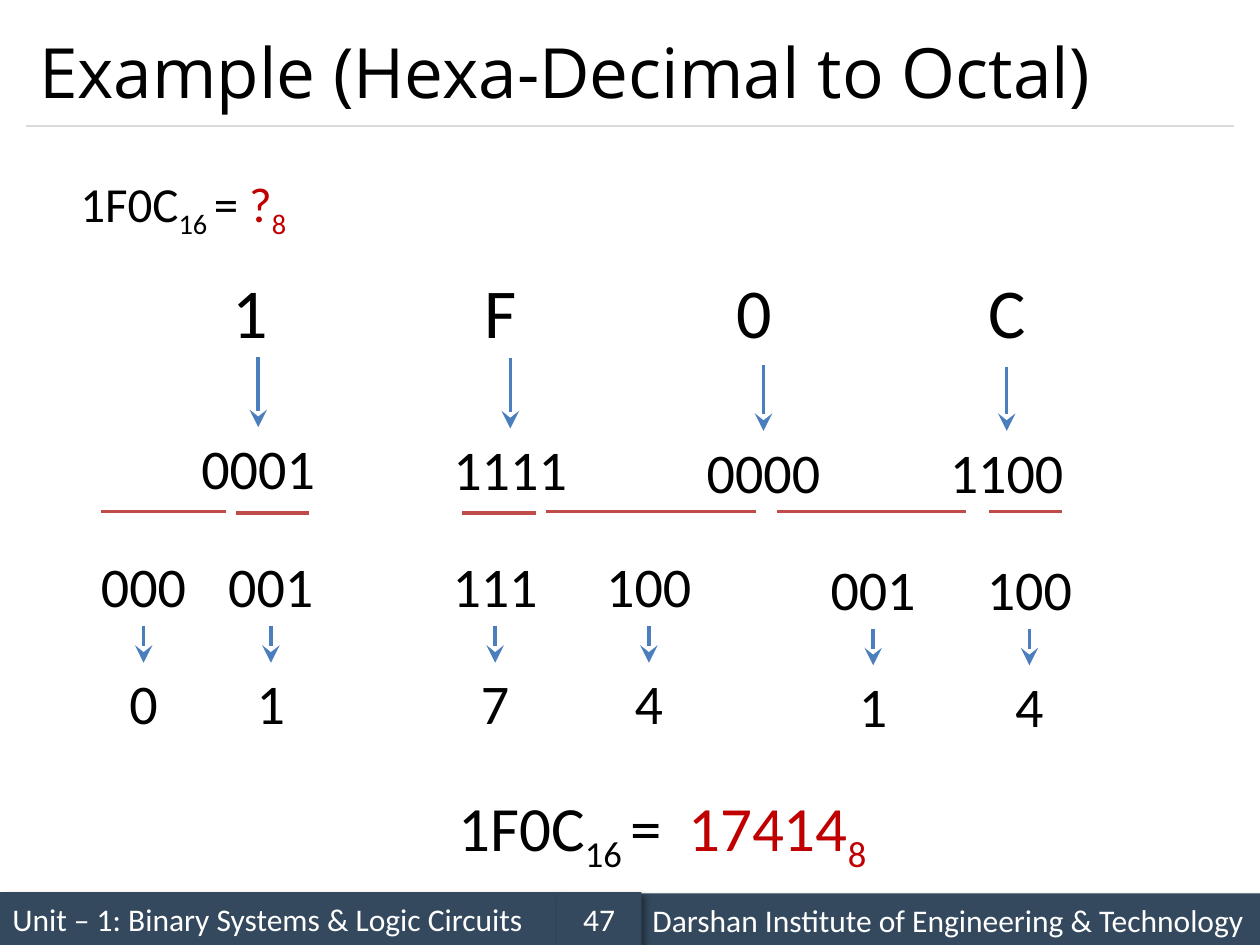
from lxml import etree
from pptx import Presentation
from pptx.dml.color import RGBColor
from pptx.enum.shapes import MSO_CONNECTOR, MSO_SHAPE
from pptx.enum.text import MSO_ANCHOR, PP_ALIGN
from pptx.oxml.ns import qn
from pptx.util import Inches, Pt

STRAIGHT = MSO_CONNECTOR.STRAIGHT
RECTANGLE = MSO_SHAPE.RECTANGLE
MIDDLE = MSO_ANCHOR.MIDDLE
LEFT, CENTER = PP_ALIGN.LEFT, PP_ALIGN.CENTER

BLACK, WHITE, RED = "000000", "FFFFFF", "C00000"
NAVY, BLUE, BRICK, GREY = "34495E", "4B7EBC", "BF4C48", "D9D9D9"
SUBSCRIPT = "-25000"

NIBBLES = [("0001", 2.05, 2.83, 3.39), ("1111", 4.05, 2.84, 3.4),
           ("0000", 6.06, 2.9, 3.42), ("1100", 7.99, 2.91, 3.42)]
TRIPLETS = [("000", "0", 1.14, 4.33), ("001", "1", 2.15, 4.33),
            ("111", "7", 3.93, 4.33), ("100", "4", 5.15, 4.33),
            ("001", "1", 6.93, 4.35), ("100", "4", 8.17, 4.35)]
UNDERLINES = [(0.8, 1.79, 4.06), (1.87, 2.45, 4.07), (3.67, 4.25, 4.07),
              (4.33, 6, 4.06), (6.17, 7.67, 4.06), (7.85, 8.43, 4.06)]


def color(value):
    return RGBColor.from_string(value)


def inches(box):
    return [Inches(length) for length in box]


def style(para, size, value=BLACK, align=CENTER, name="Calibri"):
    para.alignment = align
    para.font.name = name
    para.font.size = Pt(size)
    para.font.color.rgb = color(value)


def add_text(page, box, size, spans, tab_stops=()):
    frame = page.shapes.add_textbox(*inches(box)).text_frame
    frame.word_wrap = True
    para = frame.paragraphs[0]
    if tab_stops:
        tabs = etree.SubElement(para._p.get_or_add_pPr(), qn("a:tabLst"))
        for stop in tab_stops:
            etree.SubElement(tabs, qn("a:tab"), pos=str(Inches(stop)), algn="l")
    style(para, size)
    for text, value, baseline in spans:
        span = para.add_run()
        span.text = text
        if value != BLACK:
            span.font.color.rgb = color(value)
        if baseline:
            span._r.get_or_add_rPr().set("baseline", baseline)


def add_label(page, center, top, width, text):
    box = (center - width / 2, top, width, 0.64)
    add_text(page, box, 32, [(text, BLACK, None)])


def add_line(page, start, end, value, width=2, arrow=False):
    line = page.shapes.add_connector(STRAIGHT, *inches(start + end))
    line.line.color.rgb = color(value)
    line.line.width = Pt(width)
    if arrow:
        etree.SubElement(line.line._get_or_add_ln(), qn("a:tailEnd"),
                         type="stealth", w="lg", len="lg")
    etree.SubElement(line._element.spPr, qn("a:effectLst"))


def add_shadow(shape):
    shape.shadow.inherit = False
    effects = shape._element.spPr.find(qn("a:effectLst"))
    shadow = etree.SubElement(effects, qn("a:outerShdw"), blurRad=str(Pt(4)),
                              dist=str(Pt(3)), dir="2700000", algn="tl", rotWithShape="0")
    tint = etree.SubElement(shadow, qn("a:srgbClr"), val=BLACK)
    etree.SubElement(tint, qn("a:alpha"), val="40000")


def add_footer_cell(page, box, text, align=LEFT):
    cell = page.shapes.add_shape(RECTANGLE, *inches(box))
    cell.fill.solid()
    cell.fill.fore_color.rgb = color(NAVY)
    cell.line.fill.background()
    add_shadow(cell)
    frame = cell.text_frame
    frame.word_wrap = True
    frame.vertical_anchor = MIDDLE
    frame.text = text
    style(frame.paragraphs[0], 18, WHITE, align)


def add_footer(page):
    add_footer_cell(page, (0, 7.08, 4.42, 0.42), "Unit – 1: Binary Systems & Logic Circuits")
    add_footer_cell(page, (5.08, 7.09, 4.92, 0.42), "Darshan Institute of Engineering & Technology")
    add_footer_cell(page, (4.42, 7.08, 0.67, 0.42), "47", CENTER)


def add_title(page, box):
    title = page.shapes.title
    title.left, title.top, title.width, title.height = inches(box)
    frame = title.text_frame
    frame.text = "Example (Hexa-Decimal to Octal)"
    frame.vertical_anchor = MIDDLE
    style(frame.paragraphs[0], 39.6, align=LEFT, name="Open Sans")
    left, top, width, height = box
    add_line(page, (left, top + height), (left + width, top + height), GREY, 0.75)


def add_nibbles(page, box):
    add_text(page, box, 40, [("1\t\tF\t\t0\t\tC", BLACK, None)], range(1, 7))
    for bits, center, arrow_top, top in NIBBLES:
        add_line(page, (center, arrow_top), (center, top), BLUE, arrow=True)
        add_label(page, center, top, 1.14, bits)
    for left, right, top in UNDERLINES:
        add_line(page, (left, top), (right, top), BRICK)


def add_triplets(page):
    for bits, digit, center, top in TRIPLETS:
        digit_top = top + 0.93
        add_label(page, center, top, 0.94, bits)
        add_line(page, (center, top + 0.64), (center, digit_top), BLUE, arrow=True)
        add_label(page, center, digit_top, 0.71, digit)


def main():
    deck = Presentation()
    deck.slide_width, deck.slide_height = Inches(10), Inches(7.5)
    page = deck.slides.add_slide(deck.slide_layouts[5])
    number = [("1F0C", BLACK, None), ("16 ", BLACK, SUBSCRIPT)]
    add_footer(page)
    add_title(page, (0.21, 0.12, 9.58, 0.88))
    add_text(page, (0.33, 1.33, 2.25, 0.57), 28,
             number + [("= ", BLACK, None), ("?", RED, None), ("8", RED, SUBSCRIPT)])
    add_nibbles(page, (1.58, 2.08, 6.83, 0.77))
    add_triplets(page)
    add_text(page, (3.48, 6.21, 1.93, 0.71), 36, number + [("=", BLACK, None)])
    add_text(page, (5.17, 6.21, 2, 0.71), 36, [("17414", RED, None), ("8", RED, SUBSCRIPT)])
    deck.save("out.pptx")


if __name__ == "__main__":
    main()
